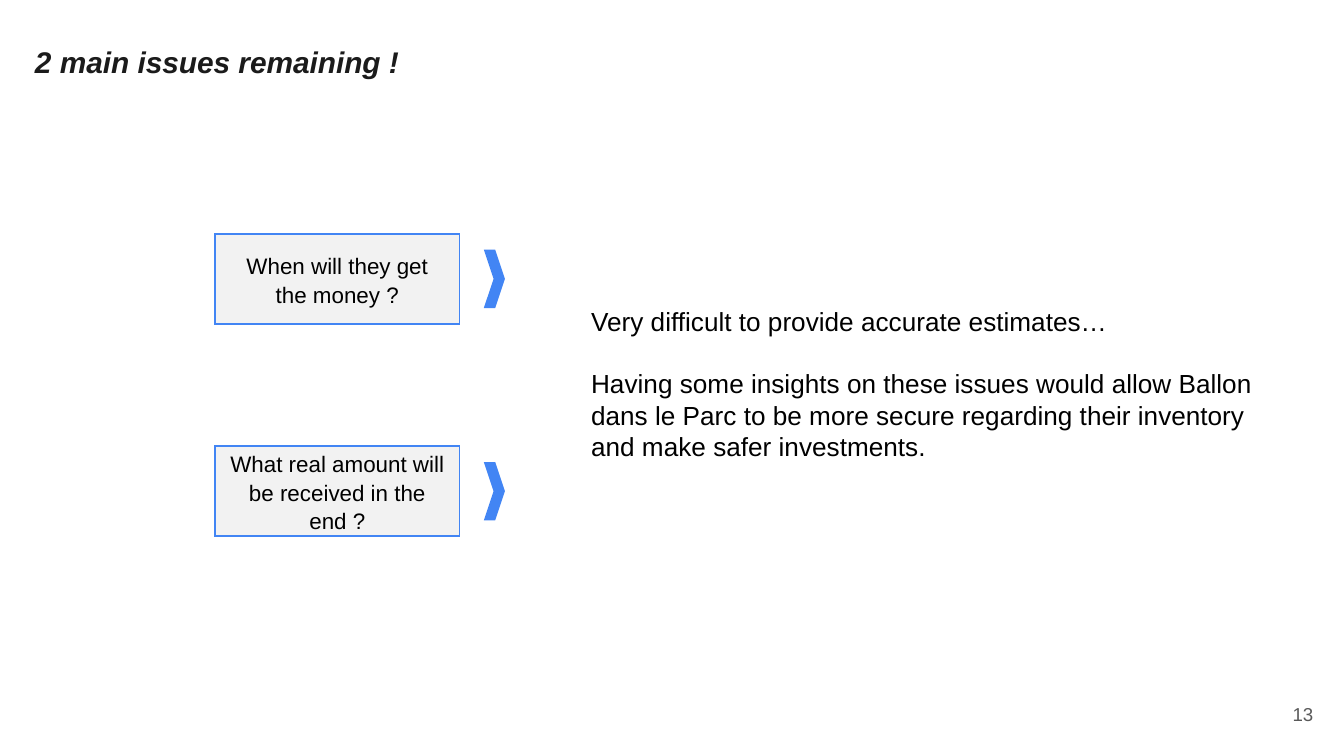
from lxml.etree import SubElement
from pptx import Presentation
from pptx.dml.color import RGBColor
from pptx.enum.shapes import MSO_SHAPE
from pptx.enum.text import MSO_ANCHOR, MSO_AUTO_SIZE, PP_ALIGN
from pptx.oxml.ns import qn
from pptx.util import Inches, Pt

TITLE = "2 main issues remaining !"
ISSUES = ["When will they get the money ?", "What real amount will be received in the end ?"]
CONCLUSIONS = [
    "Very difficult to provide accurate estimates…",
    "Having some insights on these issues would allow Ballon\v"
    "dans le Parc to be more secure regarding their inventory and make safer investments.",
]
PAGE_NUMBER = "13"

BLUE, GREY = "4285F4", "F2F2F2"
BOX_LEFT, BOX_WIDTH, BOX_HEIGHT = 1.6, 1.82, 0.67
CHEVRON_LEFT, CHEVRON_WIDTH, CHEVRON_HEIGHT = 3.61, 0.14, 0.42
FIRST_TOP, ROW_STEP = 1.74, 1.58


def color(hex_string):
    return RGBColor.from_string(hex_string)


def write(shape, texts, size, hex_color="000000", insets=(0.1, 0.05),
          anchor=MSO_ANCHOR.MIDDLE, paragraph_format=None, gap=0, **font_format):
    """Fill a shape with paragraphs; insets are (horizontal, vertical) inches."""
    frame = shape.text_frame
    horizontal, vertical = map(Inches, insets)
    frame_format = dict(word_wrap=True, vertical_anchor=anchor,
                        margin_left=horizontal, margin_right=horizontal,
                        margin_top=vertical, margin_bottom=vertical)
    for name, value in frame_format.items():
        setattr(frame, name, value)
    for index, text in enumerate(texts):
        paragraph = frame.paragraphs[0] if index == 0 else frame.add_paragraph()
        paragraph.text = text
        if index:
            paragraph.space_before = Pt(gap)
        for name, value in (paragraph_format or {}).items():
            setattr(paragraph, name, value)
        for name, value in dict(name="Arial", size=Pt(size), **font_format).items():
            setattr(paragraph.font, name, value)
        paragraph.font.color.rgb = color(hex_color)


def add_text(slide, box, texts, size, **options):
    shape = slide.shapes.add_textbox(*map(Inches, box))
    write(shape, texts, size, **options)
    return shape


def add_shape(slide, kind, box, fill, line_width):
    """Add a filled shape with a blue, sharp-cornered outline."""
    shape = slide.shapes.add_shape(kind, *map(Inches, box))
    shape.shadow.inherit = False
    shape.fill.solid()
    shape.fill.fore_color.rgb = color(fill)
    shape.line.color.rgb = color(BLUE)
    shape.line.width = Pt(line_width)
    outline = shape.element.spPr.find(qn("a:ln"))
    SubElement(outline, qn("a:miter"), lim="800000")
    return shape


def main():
    presentation = Presentation()
    presentation.slide_width = Inches(10)
    presentation.slide_height = presentation.slide_width * 9 // 16
    slide = presentation.slides.add_slide(presentation.slide_layouts[6])

    add_text(slide, (9.27, 5.1, 0.6, 0.43), [PAGE_NUMBER], 10, hex_color="595959",
             insets=(0.1, 0.1), paragraph_format={"alignment": PP_ALIGN.RIGHT})

    for row, issue in enumerate(ISSUES):
        top = FIRST_TOP + row * ROW_STEP
        box = add_shape(slide, MSO_SHAPE.RECTANGLE,
                        (BOX_LEFT, top, BOX_WIDTH, BOX_HEIGHT), GREY, 0.75)
        write(box, [issue], 12,
              paragraph_format={"alignment": PP_ALIGN.CENTER, "line_spacing": 1.07})
        chevron_top = top + (BOX_HEIGHT - CHEVRON_HEIGHT) / 2
        add_shape(slide, MSO_SHAPE.CHEVRON,
                  (CHEVRON_LEFT, chevron_top, CHEVRON_WIDTH, CHEVRON_HEIGHT), BLUE, 1)

    add_text(slide, (0.19, 0.09, 9.38, 0.69), [TITLE], 16, hex_color="1B1B1B",
             insets=(0.07, 0.04), paragraph_format={"line_spacing": 1.18},
             bold=True, italic=True)

    conclusion = add_text(slide, (4.3, 2.22, 5.27, 1.28), CONCLUSIONS, 14,
                          anchor=MSO_ANCHOR.TOP, gap=16.8)
    conclusion.text_frame.auto_size = MSO_AUTO_SIZE.SHAPE_TO_FIT_TEXT

    presentation.save("out.pptx")


if __name__ == "__main__":
    main()
